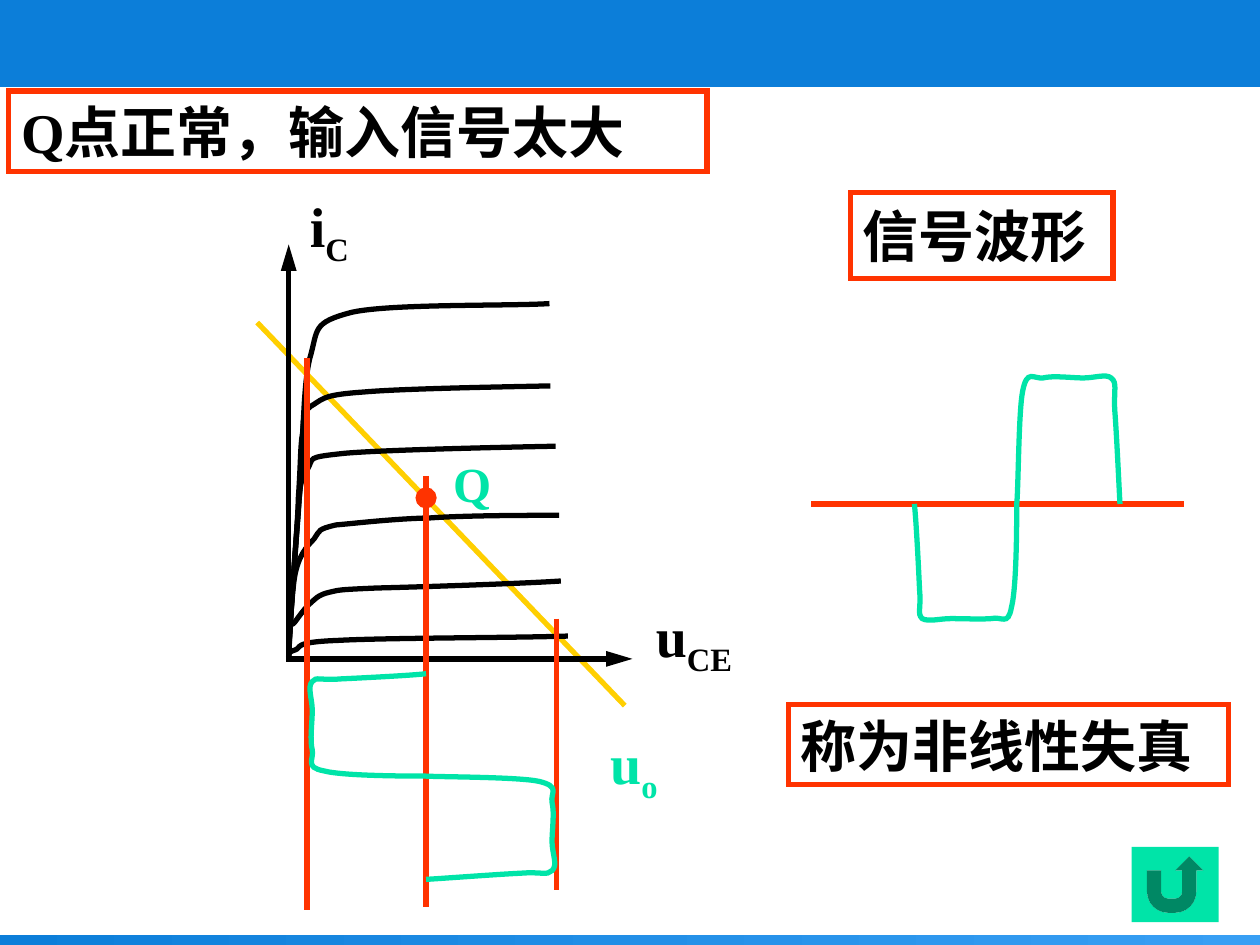
from lxml import etree
from pptx import Presentation
from pptx.dml.color import RGBColor
from pptx.enum.shapes import MSO_CONNECTOR, MSO_SHAPE
from pptx.enum.text import MSO_ANCHOR, PP_ALIGN
from pptx.oxml.ns import qn
from pptx.util import Pt

RECT, OVAL = MSO_SHAPE.RECTANGLE, MSO_SHAPE.OVAL
RETURN_BUTTON = MSO_SHAPE.ACTION_BUTTON_RETURN
STRAIGHT = MSO_CONNECTOR.STRAIGHT
MIDDLE = MSO_ANCHOR.MIDDLE
LEFT, CENTER = PP_ALIGN.LEFT, PP_ALIGN.CENTER

FONT = "Times New Roman"
BLACK, RED, GREEN, YELLOW = "000000", "FF3300", "00E4A8", "FFCF01"
BLUE, LIGHT_BLUE = "0C7ED9", "389FF4"
LINE_WIDTH = 3

# Curves as x, y pairs: a start, then three points for each Bezier segment
CHARACTERISTICS = [
    [165, 375, 165.5, 374.5, 163.5, 373, 168.5, 371.5, 173, 370, 166.5, 367,
     193, 366, 219, 364.5, 297.5, 364.5, 324.5, 363.5],
    [165, 375, 165, 372, 165.5, 362, 165.5, 358.5, 166.5, 355.5, 166.5, 358,
     168.5, 355.5, 170, 353.5, 173.5, 348.5, 176.5, 345.5, 180, 342.5,
     181.5, 340, 188, 338.5, 194.5, 337, 193, 337, 215.5, 336,
     237.5, 335.5, 299, 333.5, 320.5, 332],
    [165, 375, 165.5, 367, 166.5, 340.5, 168.5, 329, 170.5, 318, 175, 312.5,
     179.5, 308, 183, 303, 181.5, 302.5, 192, 300, 204, 299, 224.5, 296.5,
     246, 296, 267, 294.5, 304.5, 294.5, 319.5, 294.5],
    [165, 371.5, 165.5, 360, 168.5, 317, 170, 299.5, 171.5, 282, 170.5, 275,
     175.5, 268.5, 180, 261.5, 173.5, 261.5, 197.5, 259, 221, 257,
     292.5, 255.5, 317.5, 255],
    [165, 371.5, 165.5, 357, 170, 305.5, 170.5, 284.5, 172, 263.5,
     171.5, 255.5, 173, 247, 173.5, 238.5, 173, 234.5, 179.5, 231,
     185, 227.5, 186, 225.5, 208, 224, 230.5, 222, 292.5, 221, 314.5, 220.5],
    [165, 375, 165.5, 359.5, 169, 307.5, 171.5, 279.5, 173.5, 251.5, 173, 222,
     177, 205, 182, 188, 178, 184.5, 201, 178.5, 223, 173.5, 290, 175,
     314, 173.5],
]
OUTPUT_WAVE = [
    [243.5, 385, 235.5, 386, 205, 387.5, 194.5, 388, 183.5, 389, 180.5, 386.5,
     178.5, 389.5, 175.5, 392.5, 178.5, 399.5, 178.5, 406, 178.5, 412.5,
     177, 423.5, 178.5, 428.5, 179.5, 434, 174, 438.5, 185, 440.5,
     196, 443.5, 234, 443.5, 243.5, 443.5],
    [243.5, 502.5, 252.5, 502, 286, 499.5, 297.5, 499, 309.5, 498,
     312.5, 500.5, 315.5, 497.5, 319, 494.5, 315.5, 487.5, 315.5, 481,
     315.5, 474.5, 317, 464.5, 315.5, 458.5, 314.5, 453, 320.5, 449.5,
     308, 446.5, 296.5, 444, 254, 444, 243.5, 443.5],
]
SIGNAL_WAVE = [
    [522.5, 288, 523.5, 296, 525, 326, 525.5, 337, 526.5, 348, 524, 350.5,
     527, 353.5, 530.5, 355.5, 537, 353.5, 543.5, 353.5, 550, 353.5,
     561, 354, 566.5, 353.5, 572.5, 352, 576, 358, 578, 347,
     581, 335.5, 581, 297.5, 581, 288],
    [640, 288, 639.5, 278.5, 638, 246, 637, 234, 636.5, 222, 638.5, 219,
     635, 216, 632, 213.5, 625.5, 216, 619, 216, 612.5, 216, 602, 214.5,
     596, 216, 590.5, 216.5, 587, 211, 584.5, 223, 582, 234.5, 582, 278.5,
     581, 288],
]


def rgb(color):
    return RGBColor.from_string(color)


def set_line(sp, color):
    sp.line.color.rgb = rgb(color)
    sp.line.width = Pt(LINE_WIDTH)
    etree.SubElement(sp.line._get_or_add_ln(), qn("a:miter"), lim="800000")


def add_block(s, kind, box, fill=None, line=None):
    sp = s.shapes.add_shape(kind, *map(Pt, box))
    sp.shadow.inherit = False
    if fill:
        sp.fill.solid()
        sp.fill.fore_color.rgb = rgb(fill)
    else:
        sp.fill.background()
    if line:
        set_line(sp, line)
    else:
        sp.line.fill.background()
    return sp


def add_line(s, x1, y1, x2, y2, color, arrow=False):
    sp = s.shapes.add_connector(STRAIGHT, Pt(x1), Pt(y1), Pt(x2), Pt(y2))
    set_line(sp, color)
    if arrow:
        etree.SubElement(sp.line._get_or_add_ln(), qn("a:tailEnd"),
                         type="triangle", len="lg")
    etree.SubElement(sp._element.spPr, qn("a:effectLst"))


def add_curve(s, coords, color):
    points = [(Pt(x), Pt(y)) for x, y in zip(coords[::2], coords[1::2])]
    builder = s.shapes.build_freeform(*points[0])
    builder.add_line_segments(points[1:], close=False)
    sp = builder.convert_to_shape()
    sp.shadow.inherit = False
    sp.fill.background()
    set_line(sp, color)
    # Turn every three straight segments into one Bezier segment
    segments = list(sp._element.iter(qn("a:lnTo")))
    for i in range(0, len(segments), 3):
        bezier = etree.Element(qn("a:cubicBezTo"))
        segments[i].addprevious(bezier)
        for segment in segments[i:i + 3]:
            bezier.append(segment[0])
            segment.getparent().remove(segment)


def set_text(sp, parts, color, size=32, align=LEFT):
    """Write the first part at full size and any second part as a subscript."""
    tf = sp.text_frame
    tf.word_wrap = True
    tf.vertical_anchor = MIDDLE
    p = tf.paragraphs[0]
    p.alignment = align
    for i, part in enumerate(parts):
        r = p.add_run()
        r.text = part
        r.font.name = FONT
        r.font.size = Pt(size)
        r.font.bold = True
        r.font.color.rgb = rgb(color)
        if i:
            r._r.get_or_add_rPr().set("baseline", "-25000")


def add_label(s, box, parts, color, size=32, align=CENTER):
    set_text(s.shapes.add_textbox(*map(Pt, box)), parts, color, size, align)


def add_caption(s, box, text):
    set_text(add_block(s, RECT, box, line=RED), [text], BLACK)


def add_bars(s):
    footer = add_block(s, RECT, (0, 534.2, 720, 7.9), BLUE)
    footer.fill.gradient()
    footer.fill.gradient_angle = 0
    for stop, color in zip(footer.fill.gradient_stops, (BLUE, LIGHT_BLUE)):
        stop.color.rgb = rgb(color)
    add_block(s, RECT, (0, 0, 720, 49.7), BLUE)


def main():
    prs = Presentation()
    prs.slide_width, prs.slide_height = Pt(720), Pt(540)
    s = prs.slides.add_slide(prs.slide_layouts[6])
    add_bars(s)

    # Load line, axes and transistor characteristics
    add_line(s, 147, 184.3, 357, 403.2, YELLOW)
    add_label(s, (170, 108.7, 144, 45.4), ["i", "C"], BLACK, align=LEFT)
    add_label(s, (361.5, 342.7, 70, 45.4), ["u", "CE"], BLACK)
    add_line(s, 163.4, 376.5, 361.4, 376.5, BLACK, arrow=True)
    add_line(s, 165, 376.5, 165, 139.7, BLACK, arrow=True)
    for curve in CHARACTERISTICS:
        add_curve(s, curve, BLACK)

    # Operating point and swing limits
    add_block(s, OVAL, (239, 280, 9, 9), RED, RED)
    for x, top, bottom in ((243.5, 272, 518.5), (175.5, 204.5, 520), (318, 353.5, 508.5)):
        add_line(s, x, top, x, bottom, RED)
    add_label(s, (236, 255.6, 67.7, 41), ["Q"], GREEN, size=28)

    # Output voltage
    for curve in OUTPUT_WAVE:
        add_curve(s, curve, GREEN)
    add_label(s, (328.3, 415.4, 67.7, 45.4), ["u", "o"], GREEN)

    # Signal waveform
    add_line(s, 463.5, 288, 676.5, 288, RED)
    for curve in SIGNAL_WAVE:
        add_curve(s, curve, GREEN)

    # Captions and return button
    add_caption(s, (5, 52, 399, 46), "Q点正常，输入信号太大")
    add_caption(s, (450.5, 402.5, 251.5, 46), "称为非线性失真")
    add_caption(s, (486, 110, 150, 49), "信号波形")
    add_block(s, RETURN_BUTTON, (646.7, 484, 49.7, 43), GREEN)

    prs.save("out.pptx")


if __name__ == "__main__":
    main()
